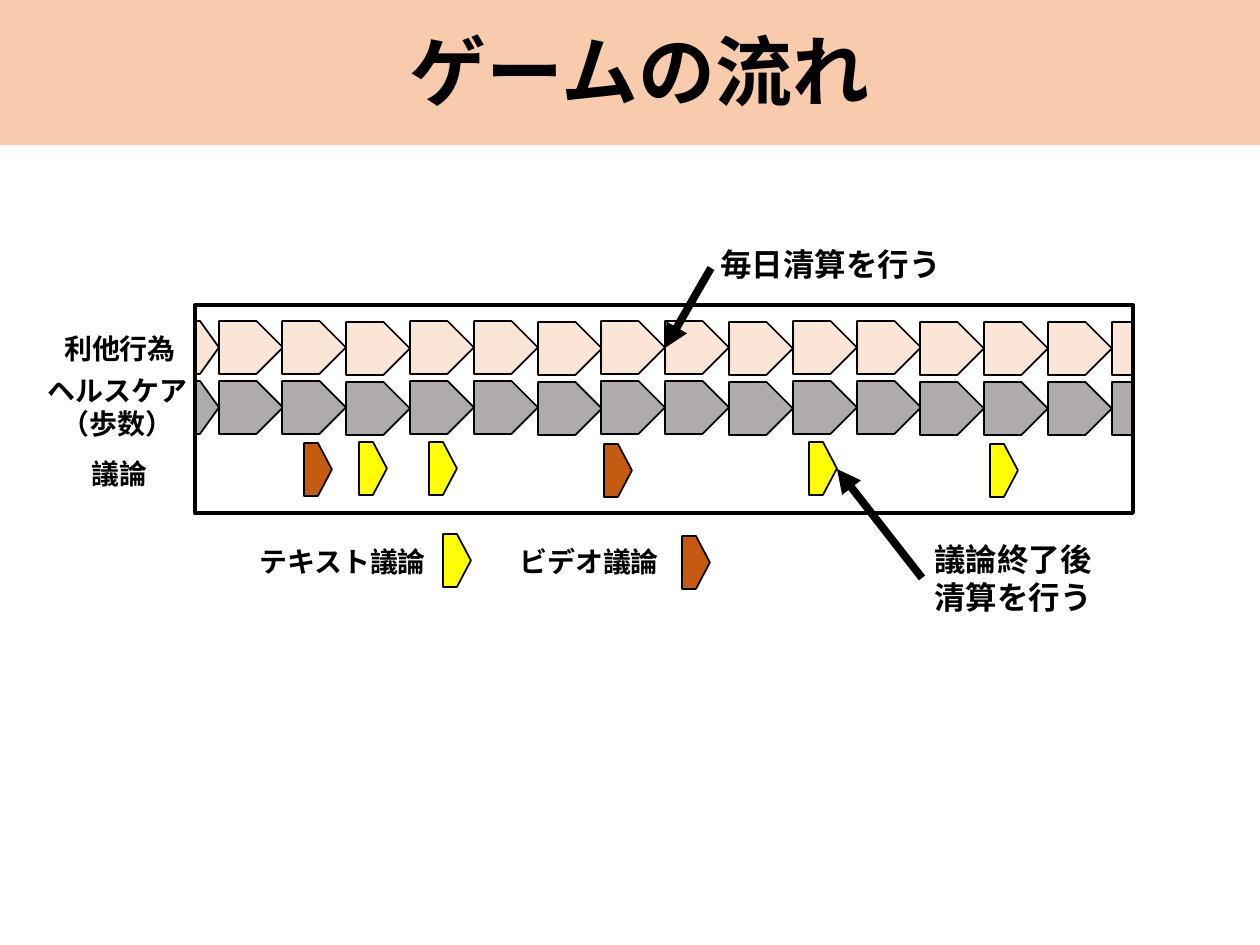
from lxml import etree
from pptx import Presentation
from pptx import util as u
from pptx.dml.color import RGBColor
from pptx.enum import shapes, text
from pptx.oxml import ns

SCALE = 914400 / 126
KIND = shapes.MSO_SHAPE
BLACK, PEACH, PINK, GREY = "000000", "F8CBAD", "FBE5D6", "AFABAB"
BROWN, YELLOW = "C55A11", "FFFF00"
FONT = {"name": "Calibri", "bold": True}
DAYS = 14

LABELS = [
    ("利他行為", 40, 325, 160, 47, 16, True),
    ("議論", 79, 450, 84, 47, 16, False),
    ("ヘルスケア（歩数）", 25, 367, 185, 81, 16, True),
    ("毎日清算を行う", 708, 239, 282, 50, 18, False),
    ("テキスト議論", 247, 538, 204, 47, 16, False),
    ("ビデオ議論", 507, 538, 175, 47, 16, False),
    ("議論終了後\n清算を行う", 922, 534, 192, 89, 18, False),
]
TALKS = [
    (304, 443, BROWN), (604, 444, BROWN),
    (359, 442, YELLOW), (429, 442, YELLOW),
    (809, 442, YELLOW), (990, 444, YELLOW),
    (443, 534, YELLOW), (682, 536, BROWN),
]
ARROWS = [(711, 268, 665, 348), (922, 578, 837, 469)]


def px(*vals):
    return [u.Emu(round(v * SCALE)) for v in vals]


def color(code):
    return RGBColor.from_string(code)


def write(frame, words, size, mid):
    frame.text = words
    style = {**FONT, "size": u.Pt(size)}
    for par in frame.paragraphs:
        par.alignment = text.PP_ALIGN.CENTER if mid else text.PP_ALIGN.LEFT
        for run in par.runs:
            for key, val in style.items():
                setattr(run.font, key, val)
            run.font.color.rgb = color(BLACK)


def shape(slide, kind, box, fill=None, line=None, adj=None):
    item = slide.shapes.add_shape(kind, *px(*box))
    item.shadow.inherit = False
    if fill:
        item.fill.solid()
        item.fill.fore_color.rgb = color(fill)
    else:
        item.fill.background()
    if line:
        item.line.color.rgb = color(BLACK)
        item.line.width = u.Pt(line)
    else:
        item.line.fill.background()
    if adj is not None:
        item.adjustments[0] = adj
    return item


def plate(slide, left, top, width, fill, adj=None):
    shape(slide, KIND.PENTAGON, (left, top, width, 53), fill, 1, adj)


def row(slide, top, fill):
    plate(slide, 196, top, 23, fill, 0.825)
    for day in range(DAYS):
        dip = 1 if day % 3 == 2 or day > 11 else 0
        plate(slide, 219 + day * 638 // 10, top + dip, 64, fill)
    plate(slide, 1112, top + 1, 20, fill, 0)


def label(slide, words, left, top, width, height, size, mid):
    box = slide.shapes.add_textbox(*px(left, top, width, height))
    box.text_frame.word_wrap = True
    box.text_frame.auto_size = text.MSO_AUTO_SIZE.SHAPE_TO_FIT_TEXT
    write(box.text_frame, words, size, mid)


def arrow(slide, *ends):
    item = slide.shapes.add_connector(shapes.MSO_CONNECTOR.STRAIGHT, *px(*ends))
    item.line.color.rgb = color(BLACK)
    item.line.width = u.Pt(4.5)
    tip = etree.SubElement(item.line._get_or_add_ln(), ns.qn("a:tailEnd"))
    tip.set("type", "triangle")
    etree.SubElement(item._element.spPr, ns.qn("a:effectLst"))


def main():
    deck = Presentation()
    deck.slide_width, deck.slide_height = px(1260, 945)
    slide = deck.slides.add_slide(deck.slide_layouts[6])

    band = shape(slide, KIND.ROUNDED_RECTANGLE, (-241, -5, 1762, 150), PEACH)
    band.text_frame.vertical_anchor = text.MSO_ANCHOR.MIDDLE
    write(band.text_frame, "ゲームの流れ", 44, True)

    row(slide, 321, PINK)
    row(slide, 381, GREY)
    for left, top, fill in TALKS:
        plate(slide, left, top, 28, fill)
    shape(slide, KIND.RECTANGLE, (195, 305, 938, 208), line=2.25)
    for item in LABELS:
        label(slide, *item)
    for ends in ARROWS:
        arrow(slide, *ends)

    deck.save("out.pptx")


if __name__ == "__main__":
    main()
